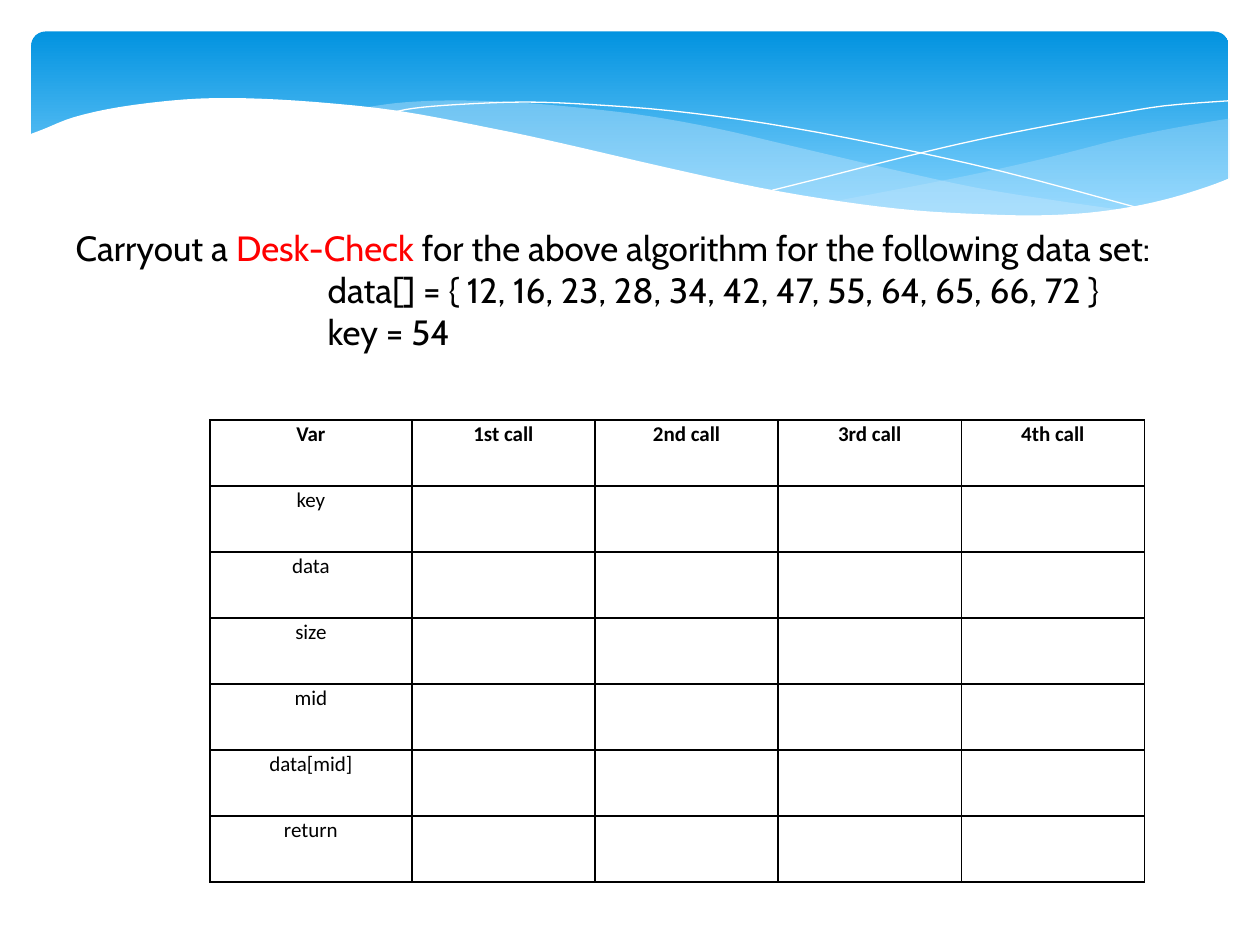
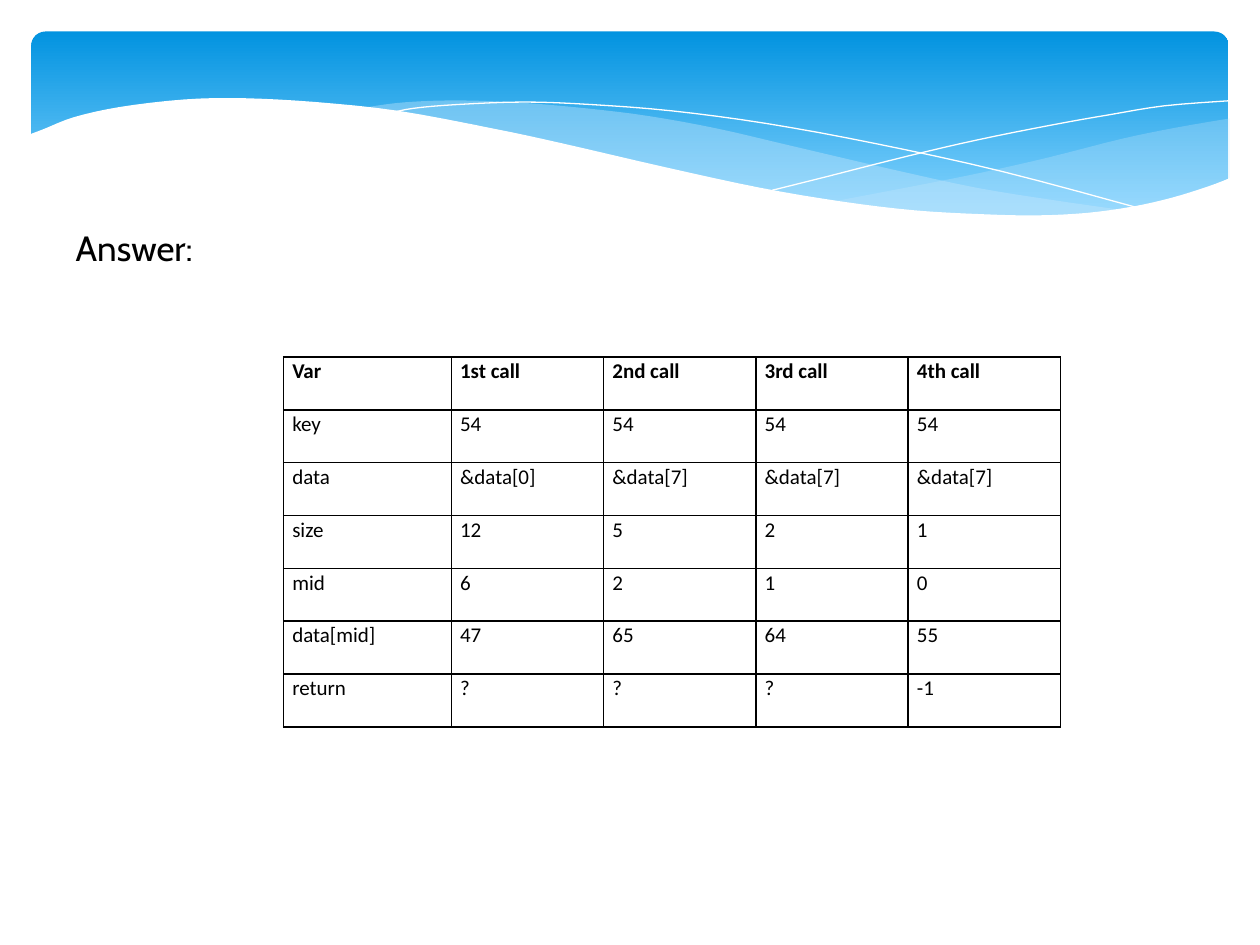
from dataclasses import dataclass

from lxml import etree
from pptx import Presentation
from pptx import util as u
from pptx.dml.color import RGBColor
from pptx.enum import shapes, text
from pptx.oxml.ns import qn


@dataclass(frozen=True)
class Theme:
    black: str = "000000"
    white: str = "FFFFFF"
    accent: str = "FF0000"
    band_top: str = "0293E0"
    band_bottom: str = "83D3FE"
    wave: str = "C6E7FC"
    title_font: str = "Cabin"
    table_font: str = "Calibri"
    title_size: int = 20
    table_size: int = 12
    table_spacing: float = 1.07
    border: int = 1


THEME = Theme()
UNIT = u.Inches(1) // 12
LABEL_SHARE = 0.216
INDENT = 24

HEADER = ["Var", "1st call", "2nd call", "3rd call", "4th call"]
VARIABLES = ["key", "data", "size", "mid", "data[mid]", "return"]
ANSWERS = [
    ["54", "54", "54", "54"],
    ["&data[0]", "&data[7]", "&data[7]", "&data[7]"],
    ["12", "5", "2", "1"],
    ["6", "2", "1", "0"],
    ["47", "65", "64", "55"],
    ["?", "?", "?", "-1"],
]
SLIDES = [
    {
        "title": [
            (0, [("Carryout a ", THEME.black), ("Desk-Check", THEME.accent),
                 (" for the above algorithm for the following data set:", THEME.black)]),
            (INDENT, [("data[] = { 12, 16, 23, 28, 34, 42, 47, 55, 64, 65, 66, 72 }", THEME.black)]),
            (INDENT, [("key = 54", THEME.black)]),
        ],
        "title_box": (6, 21, 105, 29.5),
        "values": [[""] * 4 for variable in VARIABLES],
        "table_box": (20, 40, 89, 44),
        "align": text.PP_ALIGN.CENTER,
    },
    {
        "title": [(0, [("Answer:", THEME.black)])],
        "title_box": (6, 21, 105, 9.25),
        "values": ANSWERS,
        "table_box": (27, 34, 74, 35.25),
        "align": text.PP_ALIGN.LEFT,
    },
]

BAND_BOX = (3, 3, 114, 18.75)
RIGHT_WAVE = [
    [(9.76, 0.94), (9.35, 1.01), (8.91, 1.1), (8.32, 1.25), (7.79, 1.37), (7.29, 1.47), (6.61, 1.6)],
    [(6.61, 1.6), (7.05, 1.65), (7.45, 1.69), (7.81, 1.72), (8.24, 1.72), (8.63, 1.7),
     (8.97, 1.65), (9.28, 1.58), (9.49, 1.52), (9.76, 1.41)],
]
MIDDLE_WAVE = [
    [(8.93, 1.67), (8.37, 1.59), (7.75, 1.49), (7.06, 1.34), (6.29, 1.16), (5.69, 1.02),
     (5.14, 0.92), (4.65, 0.86), (4.2, 0.82), (3.8, 0.8), (3.44, 0.8), (3.13, 0.82), (2.86, 0.86)],
    [(2.86, 0.86), (3.42, 0.94), (4.04, 1.06), (4.91, 1.26), (5.66, 1.43), (6.34, 1.56),
     (6.95, 1.65), (7.48, 1.7), (8.07, 1.73), (8.48, 1.72), (8.93, 1.67)],
]
LONG_LINE = [
    [(3.09, 0.9), (3.28, 0.86), (3.63, 0.83), (4.16, 0.81), (4.69, 0.83), (5.33, 0.88),
     (6.08, 0.98), (6.95, 1.14), (7.95, 1.36), (9.07, 1.66)],
]
SHORT_LINE = [
    [(6.13, 1.51), (6.53, 1.41), (7.2, 1.24), (7.76, 1.11), (8.36, 0.99), (8.81, 0.91),
     (9.24, 0.84), (9.75, 0.8)],
]
WHITE_WAVE = [
    [(0.23, 1.07), (0.36, 1.02), (0.59, 0.93), (0.95, 0.85), (1.46, 0.79), (1.93, 0.78),
     (2.5, 0.81), (3.16, 0.88), (3.91, 1.02), (4.47, 1.14), (5.29, 1.33), (6.03, 1.49),
     (6.68, 1.6), (7.26, 1.67), (7.78, 1.7), (8.23, 1.71), (8.63, 1.69), (8.99, 1.64),
     (9.3, 1.57), (9.59, 1.48), (9.77, 1.41)],
    [(9.77, 2.24), (0.23, 2.24)],
]
WAVES = [
    (RIGHT_WAVE, THEME.wave, 29),
    (MIDDLE_WAVE, THEME.wave, 40),
    (LONG_LINE, None, 100),
    (SHORT_LINE, None, 100),
    (WHITE_WAVE, THEME.white, 100),
]


def color(value):
    return RGBColor.from_string(value)


def place(box):
    return [u.Emu(round(length * UNIT)) for length in box]


def smooth(points, steps=4):
    padded = [points[0], *points, points[-1]]
    curve = []
    for a, b, c, d in zip(padded, padded[1:], padded[2:], padded[3:]):
        for step in range(steps):
            t = step / steps
            curve.append(tuple(
                (2 * q + (r - p) * t + (2 * p - 5 * q + 4 * r - s) * t ** 2
                 + (3 * q - p - 3 * r + s) * t ** 3) / 2
                for p, q, r, s in zip(a, b, c, d)))
    return curve + [points[-1]]


def add_wave(slide, curves, fill, opacity):
    points = [(u.Inches(x), u.Inches(y)) for curve in curves for x, y in smooth(curve)]
    builder = slide.shapes.build_freeform(*points[0])
    builder.add_line_segments(points[1:], close=fill is not None)
    shape = builder.convert_to_shape()
    shape.shadow.inherit = False
    if fill is None:
        shape.fill.background()
        shape.line.color.rgb = color(THEME.white)
        shape.line.width = u.Pt(0)
        return shape
    shape.fill.solid()
    shape.fill.fore_color.rgb = color(fill)
    shape.line.fill.background()
    if opacity < 100:
        fill_color = shape.element.spPr.find(f"{qn('a:solidFill')}/{qn('a:srgbClr')}")
        etree.SubElement(fill_color, qn("a:alpha"), val=str(opacity * 1000))
    return shape


def add_band(slide):
    band = slide.shapes.add_shape(shapes.MSO_SHAPE.ROUNDED_RECTANGLE, *place(BAND_BOX))
    band.adjustments[0] = 0.071
    band.shadow.inherit = False
    band.line.fill.background()
    band.fill.gradient()
    band.fill.gradient_angle = 270
    stops = zip(band.fill.gradient_stops, (0, 0.9), (THEME.band_top, THEME.band_bottom))
    for stop, position, value in stops:
        stop.position = position
        stop.color.rgb = color(value)
    return band


def decorate_layout(layout, slide):
    decoration = [add_band(slide)] + [add_wave(slide, *wave) for wave in WAVES]
    for number, shape in enumerate(decoration):
        shape.element.nvSpPr.cNvPr.set("id", str(100 + number))
        layout.shapes.element.insert(2 + number, shape.element)


def add_run(paragraph, words, font, size, value, bold=False):
    run = paragraph.add_run()
    run.text = words
    run.font.name = font
    run.font.size = u.Pt(size)
    run.font.bold = bold
    run.font.color.rgb = color(value)


def fill_title(title, box, lines):
    title.left, title.top, title.width, title.height = place(box)
    frame = title.text_frame
    frame.word_wrap = True
    frame.auto_size = text.MSO_AUTO_SIZE.NONE
    frame.vertical_anchor = text.MSO_ANCHOR.TOP
    for number, (indent, runs) in enumerate(lines):
        paragraph = frame.add_paragraph() if number else frame.paragraphs[0]
        paragraph.alignment = text.PP_ALIGN.LEFT
        paragraph._p.get_or_add_pPr().set("marL", str(indent * UNIT))
        for words, value in runs:
            add_run(paragraph, words, THEME.title_font, THEME.title_size, value)


def draw_borders(cell):
    properties = cell._tc.get_or_add_tcPr()
    for side in ("lnL", "lnR", "lnT", "lnB"):
        line = etree.SubElement(properties, qn(f"a:{side}"), w=str(u.Pt(THEME.border)))
        fill = etree.SubElement(line, qn("a:solidFill"))
        etree.SubElement(fill, qn("a:srgbClr"), val=THEME.black)


def add_call_table(slide, box, values, align):
    rows = [HEADER] + [[name, *calls] for name, calls in zip(VARIABLES, values)]
    left, top, width, height = place(box)
    table = slide.shapes.add_table(len(rows), len(HEADER), left, top, width, height).table
    table.first_row = table.horz_banding = False
    label_width = round(width * LABEL_SHARE)
    call_width = (width - label_width) // (len(HEADER) - 1)
    for number, column in enumerate(table.columns):
        column.width = call_width if number else label_width
    for row_number, row in enumerate(rows):
        table.rows[row_number].height = height // len(rows)
        for column_number, words in enumerate(row):
            cell = table.cell(row_number, column_number)
            draw_borders(cell)
            cell.fill.background()
            cell.margin_left = cell.margin_right = u.Inches(0.07)
            cell.margin_top = cell.margin_bottom = 0
            paragraph = cell.text_frame.paragraphs[0]
            paragraph.alignment = align
            paragraph.line_spacing = THEME.table_spacing
            if words:
                add_run(paragraph, words, THEME.table_font, THEME.table_size,
                        THEME.black, bold=row_number == 0)


presentation = Presentation()
presentation.slide_width = u.Inches(10)
presentation.slide_height = u.Inches(7.5)
layout = presentation.slide_layouts[5]
for number, content in enumerate(SLIDES):
    slide = presentation.slides.add_slide(layout)
    if number == 0:
        decorate_layout(layout, slide)
    fill_title(slide.shapes.title, content["title_box"], content["title"])
    add_call_table(slide, content["table_box"], content["values"], content["align"])
presentation.save("out.pptx")
